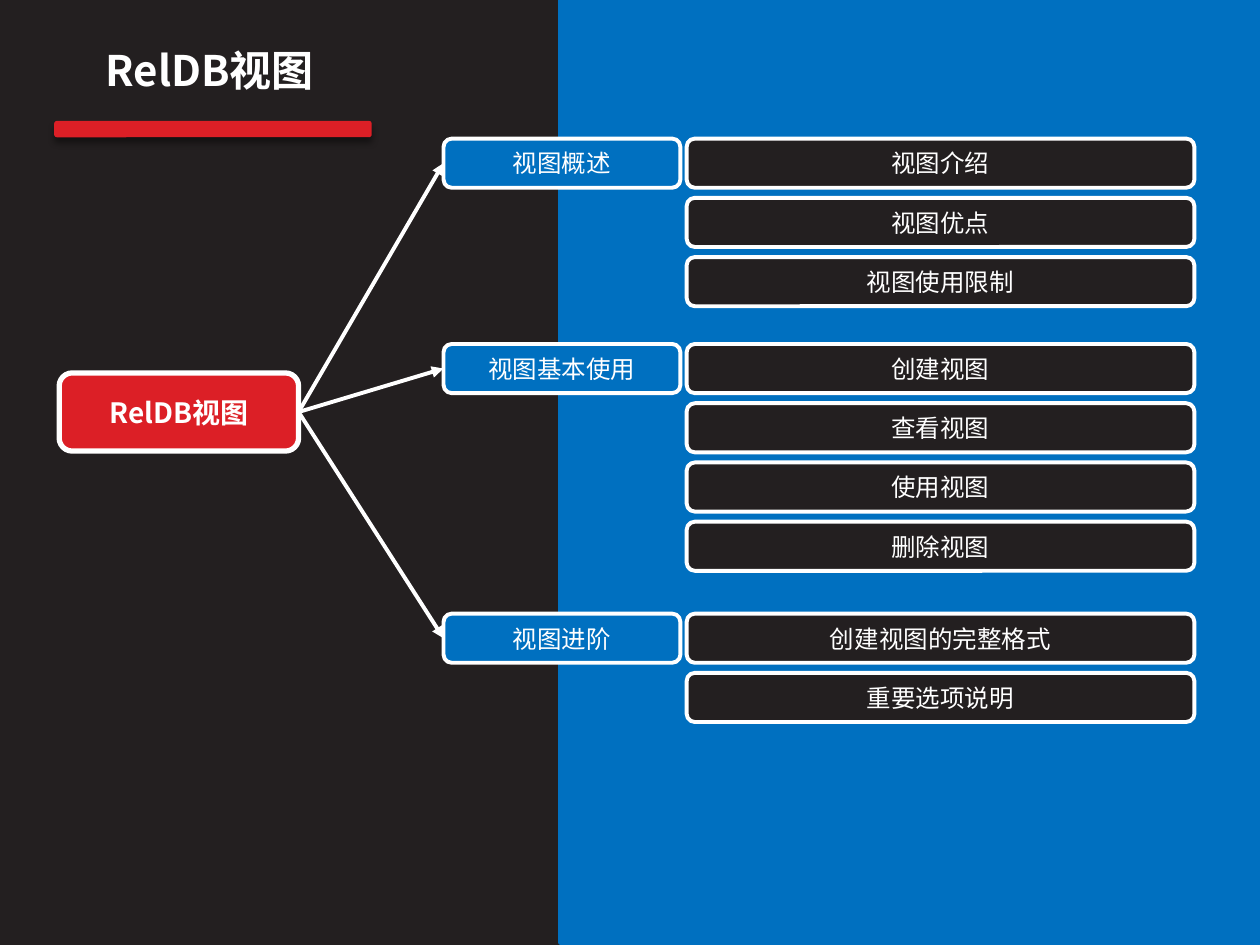
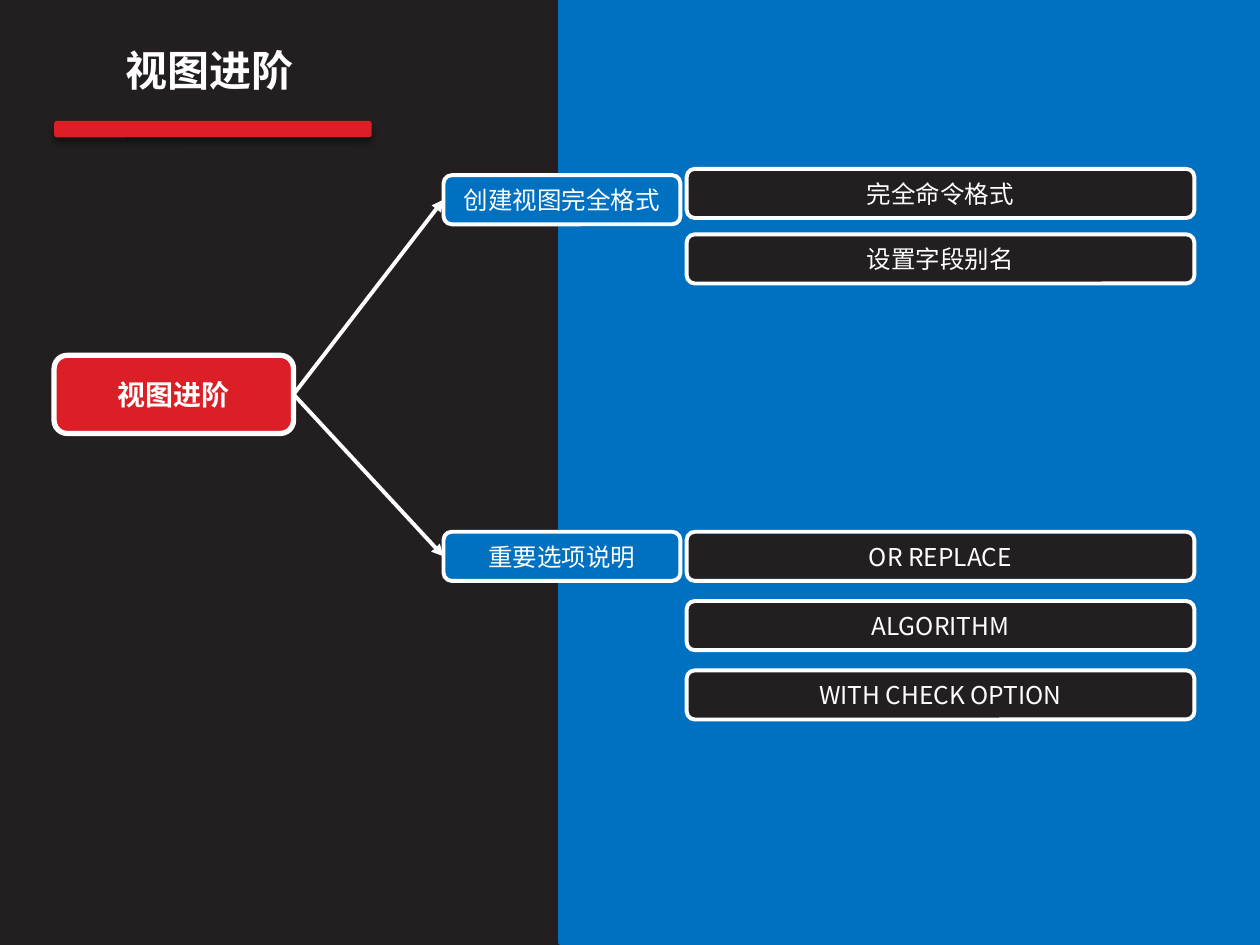
import pptx
import pptx.util
import pptx.dml.color
import pptx.enum.shapes
import pptx.enum.text
import pptx.oxml
import pptx.oxml.ns
from pptx.util import Inches

# Content: each branch has its top, the top of its details and their pitch
SLIDES = [
    {
        "title": "RelDB视图",
        "root_at": (0.47, 2.96),
        "branches": [
            ("视图概述", 1.10, 1.10, 0.47, ["视图介绍", "视图优点", "视图使用限制"]),
            ("视图基本使用", 2.73, 2.73, 0.47,
             ["创建视图", "查看视图", "使用视图", "删除视图"]),
            ("视图进阶", 4.87, 4.87, 0.47, ["创建视图的完整格式", "重要选项说明"]),
        ],
    },
    {
        "title": "视图进阶",
        "root_at": (0.43, 2.82),
        "branches": [
            ("创建视图完全格式", 1.39, 1.34, 0.52, ["完全命令格式", "设置字段别名"]),
            ("重要选项说明", 4.22, 4.22, 0.55,
             ["OR REPLACE", "ALGORITHM", "WITH CHECK OPTION"]),
        ],
    },
]

# Shared style
FONT = "Noto Sans CJK SC"
DARK, BLUE, RED, WHITE = "231F20", "0070C0", "DC1F26", "FFFFFF"
ROOT_SIZE = (1.9, 0.62)
BRANCH_LEFT, BRANCH_WIDTH = 3.52, 1.88
DETAIL_LEFT, DETAIL_WIDTH = 5.45, 4.03
ROW_HEIGHT = 0.39
RIGHT_SITE, LEFT_SITE = 3, 1
SHAPES = pptx.enum.shapes.MSO_SHAPE
ANCHOR = pptx.enum.text.MSO_ANCHOR


def color(value):
    return pptx.dml.color.RGBColor.from_string(value)


def add_xml(parent, xml):
    """Append a DrawingML fragment to an element."""
    namespace = pptx.oxml.ns.nsdecls("a")
    parent.append(pptx.oxml.parse_xml(xml.replace(" ", f" {namespace} ", 1)))


def write(frame, text, size, bold, anchor):
    frame.word_wrap = True
    frame.vertical_anchor = anchor
    para = frame.paragraphs[0]
    para.alignment = pptx.enum.text.PP_ALIGN.CENTER
    span = para.add_run()
    span.text = text
    span.font.name = FONT
    span.font.size = pptx.util.Pt(size)
    span.font.bold = bold
    span.font.color.rgb = color(WHITE)
    add_xml(span.font._element, f'<a:ea typeface="{FONT}"/>')


def add_box(page, kind, at, fill, line=None, width=0):
    box = page.shapes.add_shape(kind, *map(Inches, at))
    box.shadow.inherit = False
    box.fill.solid()
    box.fill.fore_color.rgb = color(fill)
    if line:
        box.line.color.rgb = color(line)
        box.line.width = pptx.util.Pt(width)
    else:
        box.line.fill.background()
    return box


def add_node(page, at, fill, text, size=14, bold=False, border=2.25):
    node = add_box(page, SHAPES.ROUNDED_RECTANGLE, at, fill, WHITE, border)
    write(node.text_frame, text, size, bold, ANCHOR.MIDDLE)
    return node


def add_arrow(page, start, end):
    arrow = page.shapes.add_connector(
        pptx.enum.shapes.MSO_CONNECTOR.STRAIGHT, 0, 0, 0, 0)
    arrow.begin_connect(start, RIGHT_SITE)
    arrow.end_connect(end, LEFT_SITE)
    arrow.line.color.rgb = color(WHITE)
    arrow.line.width = pptx.util.Pt(2.25)
    add_xml(arrow.line._get_or_add_ln(), '<a:tailEnd type="triangle"/>')
    add_xml(arrow.element.spPr, "<a:effectLst />")


def add_title(page, text):
    title = page.shapes.title
    title.left, title.top, title.width, title.height = map(
        Inches, (0.28, 0.3, 2.77, 0.71))
    title.text_frame.auto_size = pptx.enum.text.MSO_AUTO_SIZE.NONE
    write(title.text_frame, text, 24, True, ANCHOR.TOP)
    bar = add_box(page, SHAPES.ROUNDED_RECTANGLE, (0.43, 0.96, 2.52, 0.13), RED)
    shadow = bar.element.spPr.find(pptx.oxml.ns.qn("a:effectLst"))
    add_xml(shadow, '<a:outerShdw blurRad="50800" dist="38100" dir="5400000">'
                    '<a:srgbClr val="000000"><a:alpha val="43000"/></a:srgbClr>'
                    '</a:outerShdw>')


def add_map(page, content):
    root = add_node(page, content["root_at"] + ROOT_SIZE, RED,
                    content["title"], 16, True, 3)
    for name, top, detail_top, pitch, details in content["branches"]:
        branch = add_node(page, (BRANCH_LEFT, top, BRANCH_WIDTH, ROW_HEIGHT),
                          BLUE, name)
        add_arrow(page, root, branch)
        for row, detail in enumerate(details):
            at = (DETAIL_LEFT, detail_top + row * pitch, DETAIL_WIDTH, ROW_HEIGHT)
            add_node(page, at, DARK, detail)


deck = pptx.Presentation()
deck.slide_width, deck.slide_height = Inches(10), Inches(7.5)
layout = deck.slide_layouts.get_by_name("Title Only")
pages = [deck.slides.add_slide(layout) for _ in SLIDES]

# Master: dark background and blue panel behind everything
master = deck.slide_master
master.background.fill.solid()
master.background.fill.fore_color.rgb = color(DARK)
panel = add_box(pages[0], SHAPES.RECTANGLE, (4.45, 0, 5.55, 7.48), BLUE, BLUE, 3)
master.shapes.element.insert(2, panel.element)

# Slides
for page, content in zip(pages, SLIDES):
    add_title(page, content["title"])
    add_map(page, content)

deck.save("out.pptx")
